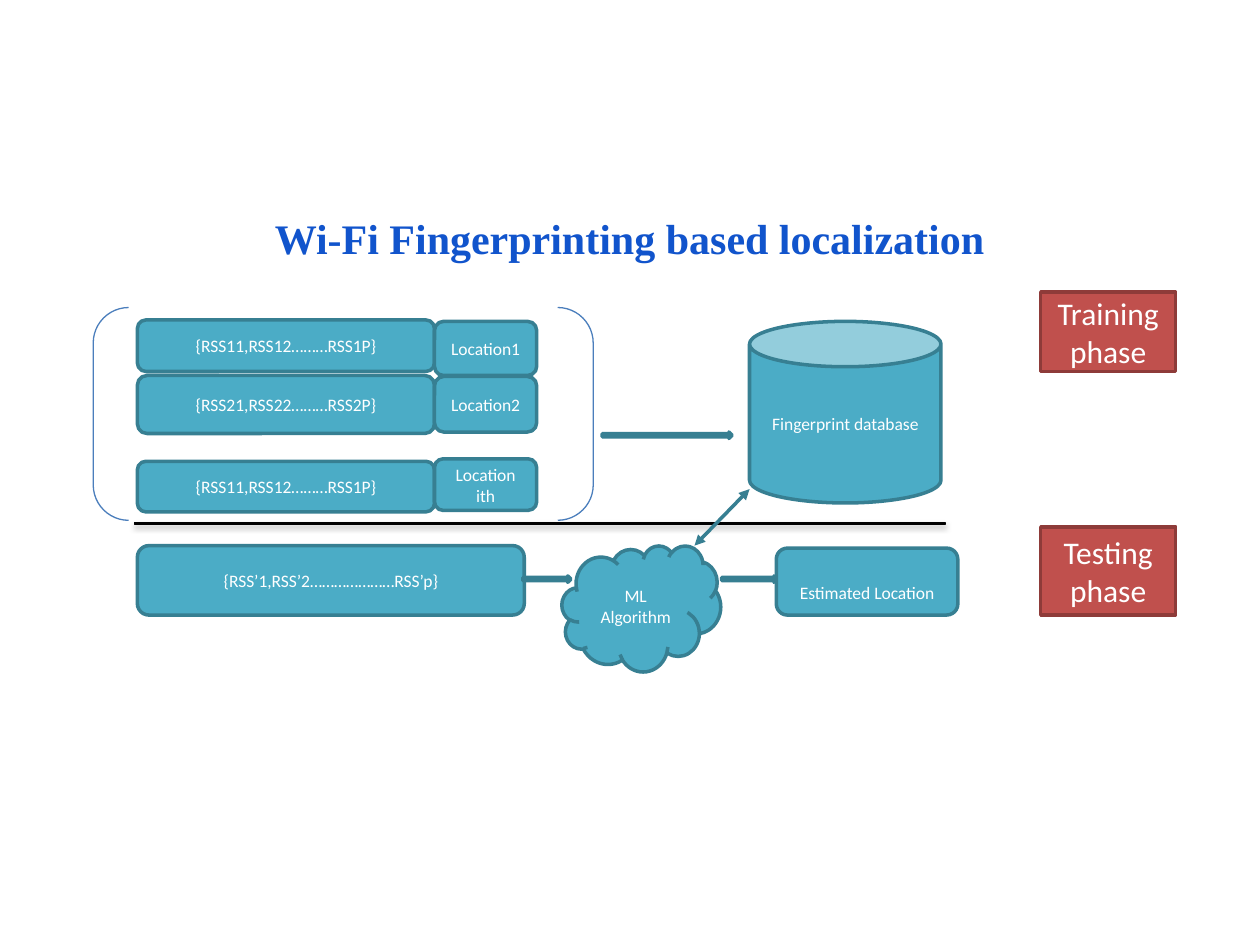
from lxml import etree
from pptx import Presentation
from pptx import util as u
from pptx.dml.color import RGBColor
from pptx.enum import shapes, text
from pptx.oxml import parse_xml
from pptx.oxml.ns import nsdecls, qn

TEAL = RGBColor(0x4B, 0xAC, 0xC6)
DARK_TEAL = RGBColor(0x37, 0x7F, 0x92)
RED = RGBColor(0xC0, 0x50, 0x4D)
DARK_RED = RGBColor(0x8E, 0x3B, 0x39)
BRACKET_BLUE = RGBColor(0x4B, 0x7E, 0xBC)
TITLE_BLUE = RGBColor(0x11, 0x54, 0xCC)
BLACK = RGBColor(0, 0, 0)
WHITE = RGBColor(0xFF, 0xFF, 0xFF)

KIND = shapes.MSO_SHAPE
LEFT_EDGE = 2.77
READINGS_WIDTH = 5.99
LOCATION_WIDTH = 2.06
ARROW_THICKNESS = 0.13

FINGERPRINTS = [
    ("{RSS11,RSS12………RSS1P}", 6.45, 1.04, "Location1", 6.48, 1.09),
    ("{RSS21,RSS22………RSS2P}", 7.57, 1.17, "Location2", 7.59, 1.12),
    ("{RSS11,RSS12………RSS1P}", 9.3, 1.02, "Location ith", 9.25, 1.04),
]
PHASES = [("Training phase", 5.89, 1.6), ("Testing phase", 10.62, 1.78)]


def write(shape, wording, size=10, font="Calibri", color=WHITE, bold=False,
          anchor=text.MSO_ANCHOR.MIDDLE, top_inset=0.13):
    frame = shape.text_frame
    frame.word_wrap = True
    frame.vertical_anchor = anchor
    frame.margin_top = u.Cm(top_inset)
    paragraph = frame.paragraphs[0]
    paragraph.alignment = text.PP_ALIGN.CENTER
    run = paragraph.add_run()
    run.text = wording
    run.font.size = u.Pt(size)
    run.font.name = font
    run.font.bold = bold
    run.font.color.rgb = color


def draw(slide, kind, left, top, width, height, fill=TEAL, line=DARK_TEAL, weight=2):
    shape = slide.shapes.add_shape(kind, u.Cm(left), u.Cm(top), u.Cm(width), u.Cm(height))
    shape.shadow.inherit = False
    if fill is None:
        shape.fill.background()
    else:
        shape.fill.solid()
        shape.fill.fore_color.rgb = fill
    shape.line.color.rgb = line
    shape.line.width = u.Pt(weight)
    return shape


def add_title(slide):
    title = slide.shapes.add_textbox(u.Cm(0.86), u.Cm(4.04), u.Cm(23.67), u.Cm(1.55))
    write(title, "Wi-Fi Fingerprinting based localization", size=24, font="Times New Roman",
          color=TITLE_BLUE, bold=True, anchor=text.MSO_ANCHOR.TOP, top_inset=0.25)


def add_fingerprints(slide):
    location_left = LEFT_EDGE + READINGS_WIDTH
    for readings, top, height, location, location_top, location_height in FINGERPRINTS:
        write(draw(slide, KIND.ROUNDED_RECTANGLE, LEFT_EDGE, top, READINGS_WIDTH, height),
              readings)
        write(draw(slide, KIND.ROUNDED_RECTANGLE, location_left, location_top,
                   LOCATION_WIDTH, location_height), location)
    draw(slide, KIND.DOUBLE_BRACKET, 1.88, 6.2, 10.08, 4.29,
         fill=None, line=BRACKET_BLUE, weight=0.75)


def add_divider(slide):
    divider = draw(slide, KIND.MATH_MINUS, -0.23, 10.49, 22.23, ARROW_THICKNESS,
                   fill=BLACK, line=BLACK, weight=0.75)
    effects = divider.element.spPr.find(qn("a:effectLst"))
    effects.append(parse_xml(
        f'<a:outerShdw {nsdecls("a")} blurRad="{u.Pt(3.1)}" dist="{u.Pt(1.8)}" '
        'dir="5400000" rotWithShape="0"><a:srgbClr val="000000">'
        '<a:alpha val="35000"/></a:srgbClr></a:outerShdw>'))


def add_flow_arrow(slide, left, top, length):
    draw(slide, KIND.RIGHT_ARROW, left, top, length, ARROW_THICKNESS)


def add_lookup_link(slide):
    link = slide.shapes.add_connector(shapes.MSO_CONNECTOR.STRAIGHT,
                                      u.Cm(14), u.Cm(11), u.Cm(15.11), u.Cm(9.86))
    link.line.color.rgb = DARK_TEAL
    link.line.width = u.Pt(2)
    outline = link.line._get_or_add_ln()
    for end in ("a:headEnd", "a:tailEnd"):
        etree.SubElement(outline, qn(end), type="triangle")
    etree.SubElement(link.element.spPr, qn("a:effectLst"))


def add_phases(slide):
    for phase, top, height in PHASES:
        write(draw(slide, KIND.FLOWCHART_PROCESS, 20.98, top, 2.72, height,
                   fill=RED, line=DARK_RED), phase, size=18)


def main():
    deck = Presentation()
    deck.slide_width, deck.slide_height = u.Cm(25.4), u.Cm(19.05)
    slide = deck.slides.add_slide(deck.slide_layouts[6])

    add_title(slide)
    add_fingerprints(slide)
    add_flow_arrow(slide, 12.14, 8.71, 2.62)
    write(draw(slide, KIND.CAN, 15.11, 6.48, 3.86, 3.66), "Fingerprint database")
    add_divider(slide)

    write(draw(slide, KIND.ROUNDED_RECTANGLE, LEFT_EDGE, 11, 7.8, 1.4),
          "{RSS’1,RSS’2…………………RSS’p}")
    add_flow_arrow(slide, 10.54, 11.61, 0.97)
    write(draw(slide, KIND.CLOUD, 11.33, 11, 3.2, 2.54), "ML Algorithm")
    add_flow_arrow(slide, 14.55, 11.61, 1.12)
    write(draw(slide, KIND.ROUNDED_RECTANGLE, 15.65, 11.05, 3.66, 1.35),
          "Estimated Location", top_inset=0.55)
    add_lookup_link(slide)
    add_phases(slide)
    deck.save("out.pptx")


if __name__ == "__main__":
    main()
